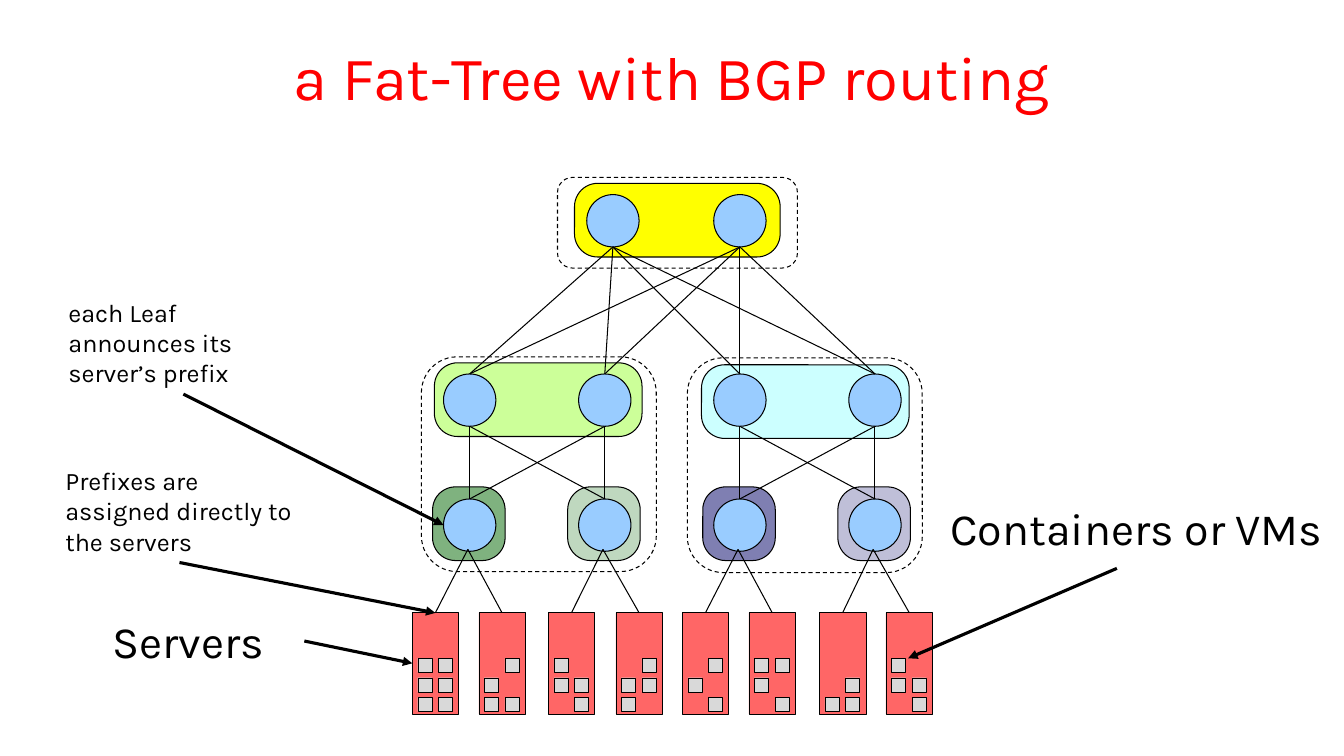
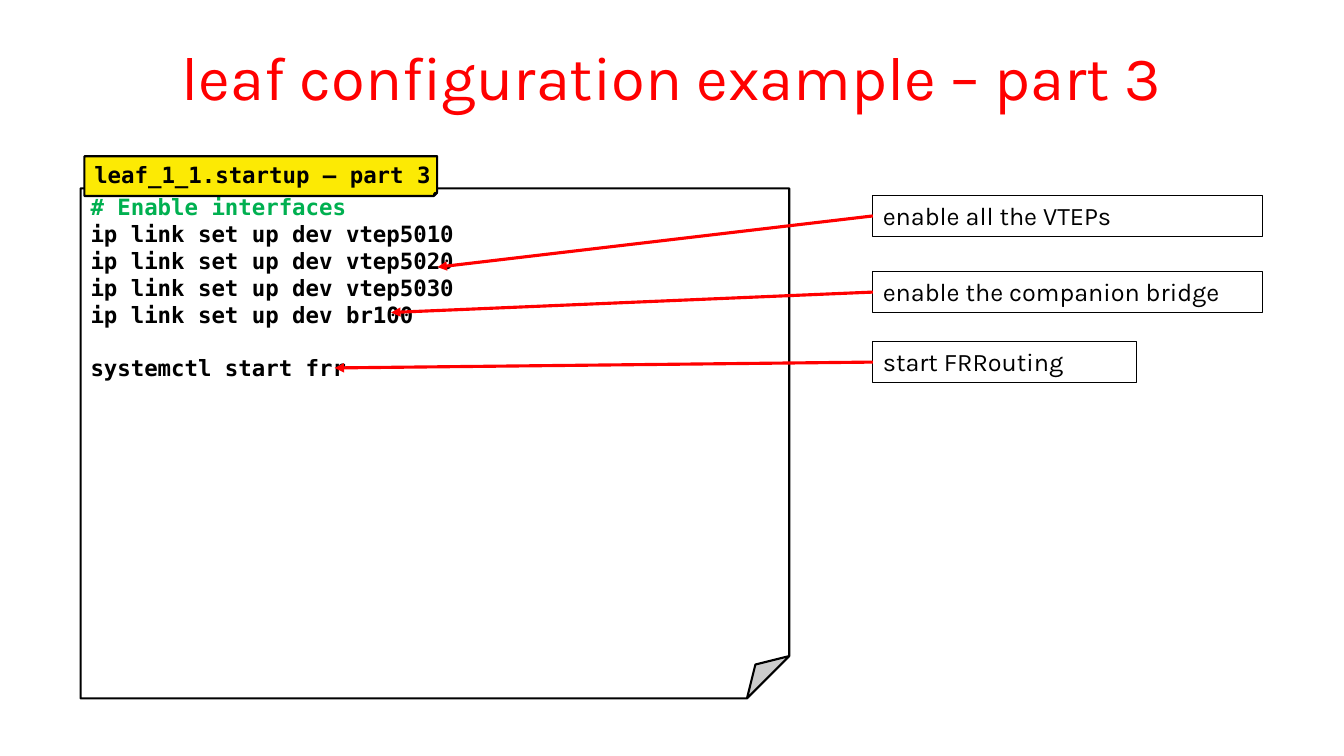
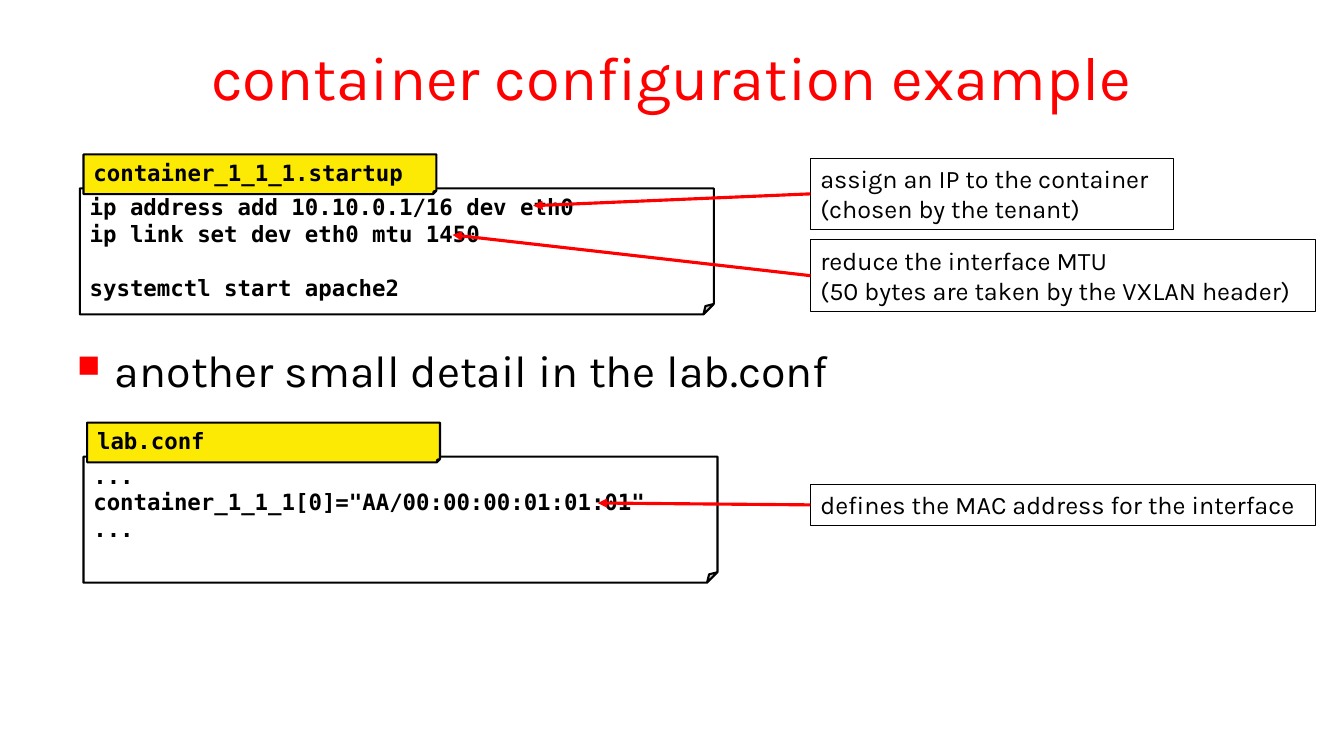
from dataclasses import dataclass
from itertools import product

from lxml.etree import SubElement
from pptx import Presentation
from pptx.dml.color import RGBColor
from pptx.enum.dml import MSO_LINE
from pptx.enum.shapes import MSO_CONNECTOR as Link, MSO_SHAPE as Kind
from pptx.enum.text import MSO_ANCHOR as Anchor, PP_ALIGN as Align
from pptx.oxml.ns import qn
from pptx.util import Pt


@dataclass(frozen=True)
class Theme:
    red: str = "FF0000"
    black: str = "000000"
    white: str = "FFFFFF"
    comment: str = "00B050"
    tab: str = "FCEA04"
    node: str = "99CCFF"
    server: str = "FF6666"
    vm: str = "D9D9D9"
    spine: str = "FFFF00"
    green_pod: str = "CCFF99"
    cyan_pod: str = "CCFFFF"
    green_leaf: str = "006600"
    blue_leaf: str = "000066"
    sans: str = "Karla"
    mono: str = "DejaVu Sans Mono"
    title: int = 44
    large: int = 32
    note: int = 18
    code: int = 16
    hairline: float = 0.25
    thin: float = 0.75
    outline: float = 1.5
    arrow: float = 2.25


THEME = Theme()
STYLES = {
    "title": {"size": Pt(THEME.title), "name": THEME.sans, "color": THEME.red},
    "large": {"size": Pt(THEME.large), "name": THEME.sans, "color": THEME.black},
    "note": {"size": Pt(THEME.note), "name": THEME.sans, "color": THEME.black},
    "code": {"size": Pt(THEME.code), "name": THEME.mono, "color": THEME.black, "bold": True},
}
STYLES["comment"] = STYLES["code"] | {"color": THEME.comment}

TREE_TITLE = "a Fat-Tree with BGP routing"
COLUMNS = [335.5 + 96.5 * index for index in range(4)]
SPINES = [437.8, 528.5]
NODE = 37.4
SPINE_TOP, POD_TOP, LEAF_TOP = 139, 267.1, 356.4
PODS = [
    ((410.4, 131, 146.9, 52.6), THEME.spine),
    ((310.3, 259.2, 148.3, 52.6), THEME.green_pod),
    ((501.1, 260.6, 148.3, 52.6), THEME.cyan_pod),
]
LEAVES = [(THEME.green_leaf, 50), (THEME.green_leaf, 25), (THEME.blue_leaf, 50), (THEME.blue_leaf, 25)]
FRAMES = [(301, 254.9, 167.8, 153.4), (491, 255.6, 167.8, 153.4), (398.2, 126.7, 171.4, 64.8)]
SERVER_TOP, SERVER_WIDTH, SERVER_HEIGHT = 437.6, 33.1, 72.4
VM_SIZE = 10.1
SERVERS = [
    (294.5, ["##", "##", "##"]),
    (342, [".#", "#.", "##"]),
    (391.7, ["#.", "##", ".#"]),
    (439.9, [".#", "##", "#."]),
    (487.4, [".#", "#.", ".#"]),
    (535, ["##", "#.", ".#"]),
    (585.4, ["..", ".#", "##"]),
    (632.9, ["#.", "##", ".#"]),
]
LABELS = [
    ("Servers", (73.4, 434.9, 144, 46), "large", (217.4, 457.9), (294.5, 473.8)),
    ("Containers or VMs", (671.8, 354.2, 288, 46), "large", (797.8, 406), (648.7, 470.2)),
    ("Prefixes are assigned directly to the servers", (39.6, 329, 177.8, 72.7), "note",
     (128.2, 401.8), (311, 437.8)),
    ("each Leaf announces its server’s prefix", (41.8, 208.8, 177.8, 72.7), "note",
     (131, 281.5), (316.8, 375.1)),
]

CODE_PAGES = [
    {
        "title": "leaf configuration example – part 3",
        "files": [
            ("leaf_1_1.startup – part 3", (57.6, 134.6, 506.2, 364.3), 23, [
                "# Enable interfaces",
                "ip link set up dev vtep5010",
                "ip link set up dev vtep5020",
                "ip link set up dev vtep5030",
                "ip link set up dev br100",
                "",
                "systemctl start frr",
            ]),
        ],
        "bullets": [],
        "callouts": [
            ("enable all the VTEPs", (623.5, 139.7, 278.6, 29.1), (312.5, 190.8)),
            ("enable the companion bridge", (623.5, 194.1, 278.6, 29.1), (279.4, 223.2)),
            ("start FRRouting", (623.5, 244.1, 188.6, 29.1), (239, 262.8)),
        ],
    },
    {
        "title": "container configuration example",
        "files": [
            ("container_1_1_1.startup", (57, 134.6, 452.9, 90), 24.3, [
                "ip address add 10.10.0.1/16 dev eth0",
                "ip link set dev eth0 mtu 1450",
                "",
                "systemctl start apache2",
            ]),
            ("lab.conf", (59.6, 326.2, 452.9, 90), 24.3, [
                "...",
                'container_1_1_1[0]="AA/00:00:00:01:01:01"',
                "...",
            ]),
        ],
        "bullets": [("another small detail in the lab.conf", (48, 241.2, 864, 56.2))],
        "callouts": [
            ("assign an IP to the container (chosen by the tenant)",
             (578.9, 113, 259.2, 51), (380.9, 146.9)),
            ("reduce the interface MTU\n(50 bytes are taken by the VXLAN header)",
             (578.9, 171.4, 360.7, 51), (323.3, 167.8)),
            ("defines the MAC address for the interface",
             (578.9, 346.1, 360.7, 29.1), (427, 359.3)),
        ],
    },
]


def add_xml(parent, tag, **values):
    element = SubElement(parent, qn(tag))
    for name, value in values.items():
        element.set(name, str(value))
    return element


def write(para, text, style):
    para.text = text
    for span in para.runs:
        for name, value in STYLES[style].items():
            if name == "color":
                span.font.color.rgb = RGBColor.from_string(value)
            else:
                setattr(span.font, name, value)


def set_frame(box, **values):
    for name, value in values.items():
        setattr(box.text_frame, name, value)


def add_text(page, text, place, style, align=Align.LEFT, anchor=Anchor.TOP):
    box = page.shapes.add_textbox(*map(Pt, place))
    set_frame(box, word_wrap=True, vertical_anchor=anchor)
    para = box.text_frame.paragraphs[0]
    write(para, text, style)
    para.alignment = align
    return para


def add_box(page, kind, place, fill=None, width=THEME.thin, corner=None, opacity=None, dashed=False):
    box = page.shapes.add_shape(kind, *map(Pt, place))
    properties = box._element.spPr
    box.shadow.inherit = False
    box.line.color.rgb = RGBColor.from_string(THEME.black)
    box.line.width = Pt(width)
    if dashed:
        box.line.dash_style = MSO_LINE.DASH
    if corner is not None:
        guides = properties.find(qn("a:prstGeom")).find(qn("a:avLst"))
        guides.clear()
        add_xml(guides, "a:gd", name="adj", fmla=f"val {round(corner * 100000)}")
    if fill is None:
        box.fill.background()
    else:
        box.fill.solid()
        box.fill.fore_color.rgb = RGBColor.from_string(fill)
    if opacity is not None:
        color = properties.find(qn("a:solidFill")).find(qn("a:srgbClr"))
        add_xml(color, "a:alpha", val=opacity * 1000)
    return box


def add_line(page, start, end, color=THEME.black, width=THEME.thin, arrow=False):
    line = page.shapes.add_connector(Link.STRAIGHT, *map(Pt, (*start, *end)))
    line.line.color.rgb = RGBColor.from_string(color)
    line.line.width = Pt(width)
    properties = line._element.spPr
    if arrow:
        add_xml(properties.find(qn("a:ln")), "a:tailEnd", type="triangle")
    add_xml(properties, "a:effectLst")


def add_page(deck, title):
    page = deck.slides.add_slide(deck.slide_layouts[6])
    add_text(page, title, (48, 9.4, 864, 90), "title", Align.CENTER, Anchor.MIDDLE)
    return page


def add_bullet(page, text, place):
    properties = add_text(page, text, place, "large")._p.get_or_add_pPr()
    properties.set("marL", str(Pt(27)))
    properties.set("indent", str(-Pt(27)))
    add_xml(add_xml(properties, "a:buClr"), "a:srgbClr", val=THEME.red)
    add_xml(properties, "a:buSzPct", val=70000)
    add_xml(properties, "a:buChar", char="■")


def add_code(page, place, lines, fill):
    box = add_box(page, Kind.FOLDED_CORNER, place, fill, THEME.outline, 0.083)
    set_frame(box, word_wrap=False, vertical_anchor=Anchor.TOP)
    para = box.text_frame.paragraphs[0]
    gap = 0
    for index, line in enumerate(lines):
        if not line:
            gap += 19
            continue
        if index:
            para = box.text_frame.add_paragraph()
        write(para, line, "comment" if line.startswith("#") else "code")
        para.alignment = Align.LEFT
        if gap:
            para.space_before = Pt(gap)
            gap = 0


def add_callout(page, text, place, tip):
    box = add_box(page, Kind.RECTANGLE, place, THEME.white)
    set_frame(box, word_wrap=True, vertical_anchor=Anchor.TOP)
    para = box.text_frame.paragraphs[0]
    write(para, text, "note")
    para.alignment = Align.LEFT
    left, top, _, height = place
    add_line(page, (left, top + height / 2), tip, THEME.red, THEME.arrow, True)


def add_server(page, left, rows):
    place = (left, SERVER_TOP, SERVER_WIDTH, SERVER_HEIGHT)
    add_box(page, Kind.RECTANGLE, place, THEME.server, THEME.hairline)
    for row, column in product(range(3), range(2)):
        if rows[row][column] == "#":
            place = (left + 3.9 + 14.7 * column, 470.1 + 14 * row, VM_SIZE, VM_SIZE)
            add_box(page, Kind.RECTANGLE, place, THEME.vm, THEME.hairline)


def build_tree(deck):
    page = add_page(deck, TREE_TITLE)
    for place, fill in PODS:
        add_box(page, Kind.ROUNDED_RECTANGLE, place, fill, corner=0.315)
    for center, (fill, opacity) in zip(COLUMNS, LEAVES):
        place = (center - 26.5, 347.8, 51.8, 52.6)
        add_box(page, Kind.ROUNDED_RECTANGLE, place, fill, corner=0.315, opacity=opacity)
    for centers, top in ((SPINES, SPINE_TOP), (COLUMNS, POD_TOP), (COLUMNS, LEAF_TOP)):
        for center in centers:
            add_box(page, Kind.OVAL, (center - NODE / 2, top, NODE, NODE), THEME.node)
    for spine, column in product(SPINES, COLUMNS):
        add_line(page, (spine, SPINE_TOP + NODE), (column, POD_TOP))
    for pair in (COLUMNS[:2], COLUMNS[2:]):
        for leaf, column in product(pair, pair):
            add_line(page, (leaf, LEAF_TOP), (column, POD_TOP + NODE))
    for index, (left, _) in enumerate(SERVERS):
        leaf = COLUMNS[index // 2] - 1.3
        add_line(page, (leaf, 392.4), (left + SERVER_WIDTH / 2, SERVER_TOP))
    for place in FRAMES:
        add_box(page, Kind.ROUNDED_RECTANGLE, place, dashed=True)
    for left, rows in SERVERS:
        add_server(page, left, rows)
    for text, place, style, start, tip in LABELS:
        add_line(page, start, tip, width=THEME.arrow, arrow=True)
        add_text(page, text, place, style)


def build_code(deck, content):
    page = add_page(deck, content["title"])
    for name, place, rise, lines in content["files"]:
        add_code(page, place, lines, THEME.white)
        add_code(page, (place[0] + 2.7, place[1] - rise, 252, 28.4), [name], THEME.tab)
    for text, place in content["bullets"]:
        add_bullet(page, text, place)
    for text, place, tip in content["callouts"]:
        add_callout(page, text, place, tip)


def main():
    deck = Presentation()
    deck.slide_width, deck.slide_height = Pt(960), Pt(540)
    build_tree(deck)
    for content in CODE_PAGES:
        build_code(deck, content)
    deck.save("out.pptx")


if __name__ == "__main__":
    main()
